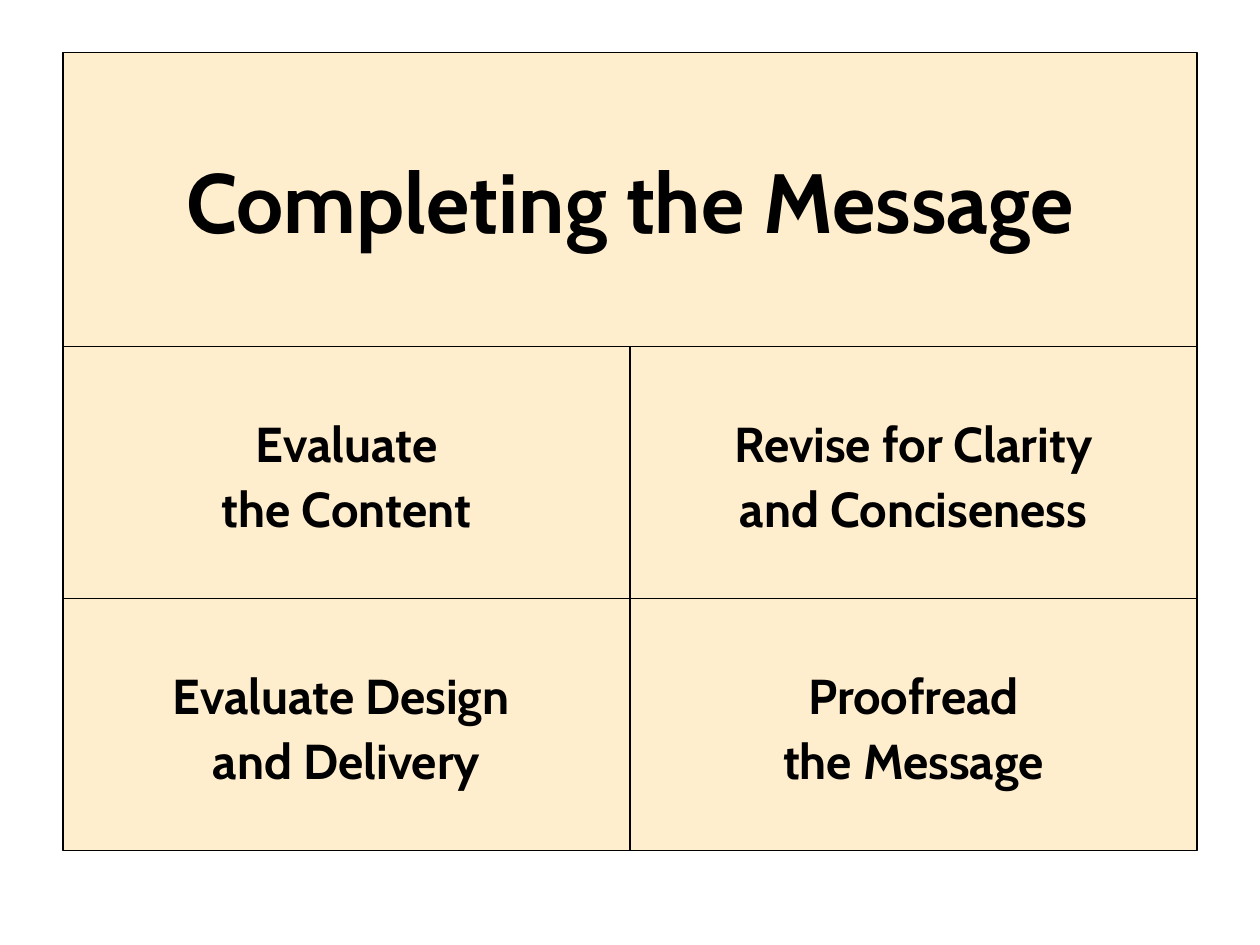
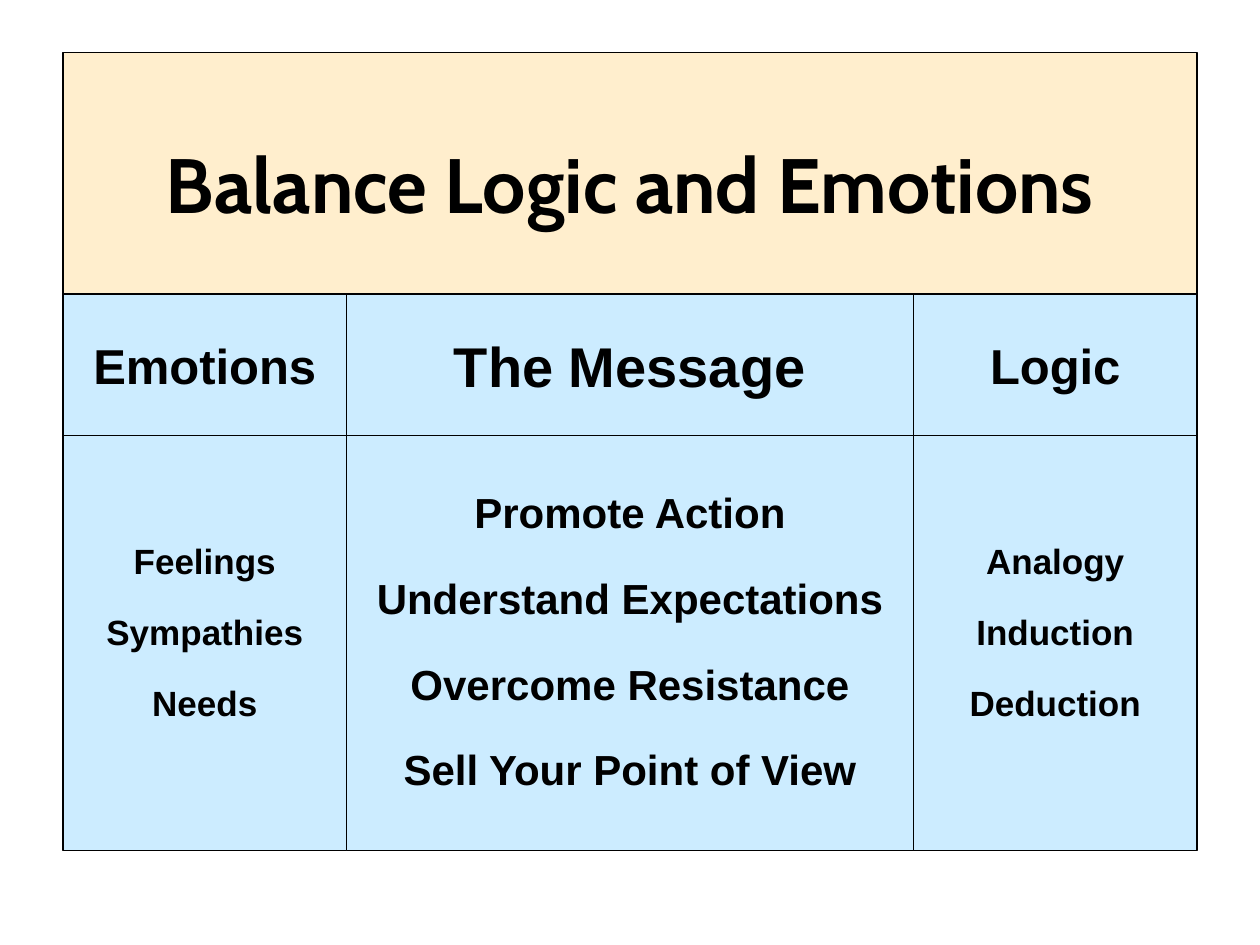
from dataclasses import dataclass

from pptx import Presentation
from pptx.dml.color import RGBColor
from pptx.enum.shapes import MSO_SHAPE
from pptx.enum.text import MSO_ANCHOR, MSO_AUTO_SIZE, PP_ALIGN
from pptx.util import Inches, Pt

RECT = MSO_SHAPE.RECTANGLE
MIDDLE = MSO_ANCHOR.MIDDLE
CENTER = PP_ALIGN.CENTER
FIXED = MSO_AUTO_SIZE.NONE

WIDTH, HEIGHT = Inches(10), Inches(7.5)
COLS, ROWS = 40, 90
LEFT, RIGHT, TOP, BASE = 2, 38, 5, 81
MID, SIDE = 18, 9
CREAM, SKY, INK = "FFEECD", "CCECFF", "000000"
HEAD, BODY = "Cabin", "Arial"
TITLE_ONLY = 5


@dataclass
class Box:
    """A bordered cell; its place is in grid columns and rows."""
    col: float
    row: float
    wide: float
    high: float
    lines: list[str]
    size: int
    gap: float = 1.0
    first: float | None = None
    face: str = BODY
    fill: str = SKY


def tint(code: str) -> RGBColor:
    return RGBColor.from_string(code)


def style(shape, box: Box, wrap: bool) -> None:
    """Fill, border and text that titles and cells share."""
    shape.fill.solid()
    shape.fill.fore_color.rgb = tint(box.fill)
    shape.line.color.rgb = tint(INK)
    shape.line.width = Pt(0.75)
    frame = shape.text_frame
    form = {"auto_size": FIXED, "word_wrap": wrap, "vertical_anchor": MIDDLE}
    for name, value in form.items():
        setattr(frame, name, value)
    frame.text = "\n".join(box.lines)
    font = {"name": box.face, "size": Pt(box.size), "bold": True}
    for rank, para in enumerate(frame.paragraphs):
        para.alignment = CENTER
        para.space_before = Pt(0)
        para.line_spacing = box.first if rank == 0 and box.first else box.gap
        for name, value in font.items():
            setattr(para.font, name, value)
        para.font.color.rgb = tint(INK)


def place(box: Box) -> list[int]:
    x, y = WIDTH / COLS, HEIGHT / ROWS
    return [round(n) for n in (box.col * x, box.row * y, box.wide * x, box.high * y)]


def draw(shapes, box: Box) -> None:
    shape = shapes.add_shape(RECT, *place(box))
    shape.shadow.inherit = False
    style(shape, box, wrap=False)


def start(deck, text: str, high: float, size: int, gap: float = 1.0):
    """Add a slide headed by the cream title band."""
    slide = deck.slides.add_slide(deck.slide_layouts[TITLE_ONLY])
    box = Box(LEFT, TOP, RIGHT - LEFT, high, [text], size, gap, face=HEAD, fill=CREAM)
    title = slide.shapes.title
    title.left, title.top, title.width, title.height = place(box)
    style(title, box, wrap=True)
    return slide


def steps(deck) -> None:
    high = 28
    slide = start(deck, "Completing the Message", high, 48)
    cells = [
        ["Evaluate", "the Content"],
        ["Revise for Clarity", "and Conciseness"],
        ["Evaluate Design ", "and Delivery"],
        ["Proofread", "the Message"],
    ]
    group = slide.shapes.add_group_shape()
    top = TOP + high
    tall = (BASE - top) / 2
    for rank, lines in enumerate(cells):
        row, col = divmod(rank, 2)
        draw(group.shapes, Box(LEFT + col * MID, top + row * tall, MID, tall,
                               lines, 28, 1.1, face=HEAD, fill=CREAM))


def balance(deck) -> None:
    high, tall = 23, 13.5
    slide = start(deck, "Balance Logic and Emotions", high, 44, 1.2)
    top = TOP + high
    side, core = top + 8.5, top + 12.5
    left, mid, right = LEFT, LEFT + SIDE, RIGHT - SIDE
    boxes = [
        Box(left, side, SIDE, BASE - side, ["Feelings", "Sympathies", "Needs"], 20, 1.7),
        Box(right, side, SIDE, BASE - side, ["Analogy", "Induction", "Deduction"], 20, 1.7),
        Box(mid, core, MID, BASE - core,
            ["Promote Action", "Understand Expectations", "Overcome Resistance",
             "Sell Your Point of View"], 24, 1.7, first=1.1),
        Box(left, top, SIDE, tall, ["Emotions"], 28),
        Box(right, top, SIDE, tall, ["Logic"], 28),
        Box(mid, top, MID, tall, ["The Message"], 32),
    ]
    for box in boxes:
        draw(slide.shapes, box)


def main() -> None:
    deck = Presentation()
    deck.slide_width, deck.slide_height = WIDTH, HEIGHT
    steps(deck)
    balance(deck)
    deck.save("out.pptx")


if __name__ == "__main__":
    main()
